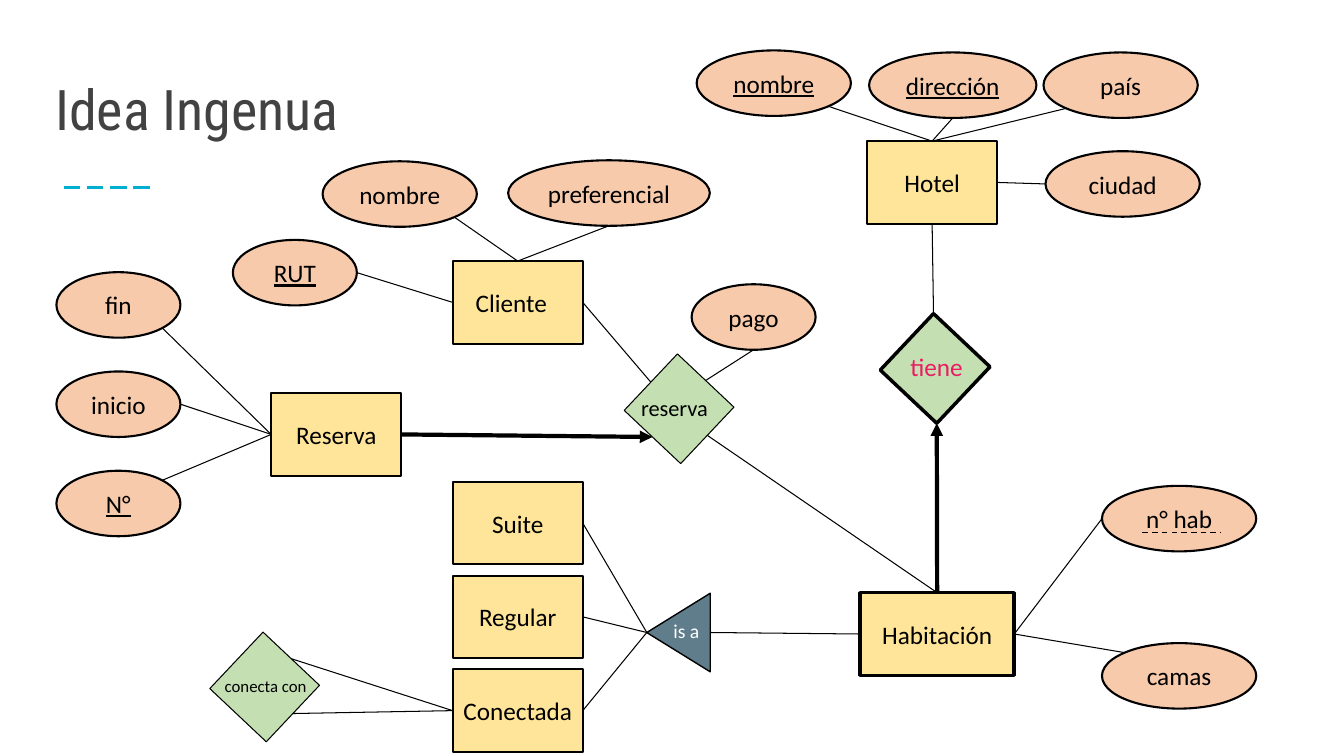
from math import cos, radians, sin
from lxml.etree import SubElement
from pptx import Presentation
from pptx.dml.color import RGBColor
from pptx.enum.dml import MSO_LINE
from pptx.enum.shapes import MSO_CONNECTOR as CONN, MSO_SHAPE as SHAPE
from pptx.enum.text import MSO_ANCHOR as ANCHOR, PP_ALIGN as ALIGN
from pptx.oxml.ns import qn
from pptx.util import Inches, Pt

BLACK = RGBColor(0x00, 0x00, 0x00)
WHITE = RGBColor(0xFF, 0xFF, 0xFF)
GREY = RGBColor(0x42, 0x42, 0x42)
CYAN = RGBColor(0x01, 0xAF, 0xD1)
PINK = RGBColor(0xE9, 0x1D, 0x63)
PEACH = RGBColor(0xF7, 0xCA, 0xAC)
YELLOW = RGBColor(0xFE, 0xE5, 0x99)
GREEN = RGBColor(0xC4, 0xE0, 0xB2)
SLATE = RGBColor(0x60, 0x7D, 0x8B)

prs = Presentation()
prs.slide_width, prs.slide_height = Inches(13.33), Inches(7.5)
COL, ROW = prs.slide_width / 133.3, prs.slide_height / 75
s = prs.slides.add_slide(prs.slide_layouts[6])


def add_text(sp, text, size, color, font="Calibri", underline=False):
    tf = sp.text_frame
    tf.word_wrap = False
    p = tf.paragraphs[0]
    r = p.add_run()
    r.text = text
    r.font.size, r.font.name = Pt(size), font
    r.font.color.rgb = color
    if underline:
        r.font.underline = True
    return tf, p


def add_line(x1, y1, x2, y2, width, color=BLACK, dash=None):
    c = s.shapes.add_connector(CONN.STRAIGHT, round(x1), round(y1), round(x2), round(y2))
    c.line.width = Pt(width)
    c.line.color.rgb = color
    if dash:
        c.line.dash_style = dash
    SubElement(c._element.spPr, qn("a:effectLst"))
    return c


add_line(6.3 * COL, 18.6 * ROW, 15.2 * COL, 18.6 * ROW, 1.5, CYAN, MSO_LINE.LONG_DASH)

EW, EH = 12.9, 8.2
AH, SHORT, LONG = 6.5, 12.3, 15.3
SIDE = 7.7
TILT = 313.3

entities = [
    ("Cliente", "", 44.9, 25.9, EW, 1.5),
    ("Reserva", "Reserva", 26.9, 39, EW, 1.5),
    ("Hotel", "Hotel", 86, 14, EW, 1.5),
    ("Habitación", "Habitación", 85.3, 58.8, LONG, 2.5),
]
for i, name in enumerate(["Suite", "Regular", "Conectada"]):
    entities.append((name, name, 44.9, 47.8 + 9.3 * i, EW, 1.5))

attributes = [
    ("RUT", "RUT", 23.1, 23.8, SHORT, True),
    ("nombre cliente", "nombre", 32, 16, LONG, False),
    ("preferencial", "preferencial", 50.4, 15.9, 20, False),
    ("nombre hotel", "nombre", 69.1, 5, LONG, True),
    ("dirección", "dirección", 86.2, 5.2, 16.6, True),
    ("país", "país", 103.5, 5.2, LONG, False),
    ("ciudad", "ciudad", 103.7, 15, LONG, False),
    ("pago", "pago", 68.6, 28.2, SHORT, False),
    ("n° hab", "n° hab", 109.3, 48.2, LONG, False),
    ("camas", "camas", 109.3, 63.8, LONG, False),
]
for i, (name, key) in enumerate([("fin", False), ("inicio", False), ("N°", True)]):
    attributes.append((name, name, 5.6, 27 + 9.85 * i, SHORT, key))

nodes = [(k, t, SHAPE.RECTANGLE, x, y, w, EH, 0, YELLOW, lw, False)
         for k, t, x, y, w, lw in entities]
nodes += [(k, t, SHAPE.OVAL, x, y, w, AH, 0, PEACH, 1.5, u)
          for k, t, x, y, w, u in attributes]
nodes += [(k, "", SHAPE.RECTANGLE, x, y, SIDE, SIDE, TILT, GREEN, lw, False)
          for k, x, y, lw in [("tiene", 88.9, 32.7, 2.5),
                              ("reserva", 63.5, 36.7, 0.75),
                              ("conecta con", 22.4, 64.3, 0.75)]]
nodes.append(("is a", "", SHAPE.ISOSCELES_TRIANGLE, 63.4, 59.6, 7.8, 6.3, 270, SLATE, 1, False))

shapes = {}
for key, text, kind, x, y, w, h, rot, fill, lw, underline in nodes:
    sp = s.shapes.add_shape(kind, round(x * COL), round(y * ROW), round(w * COL), round(h * ROW))
    sp.shadow.inherit = False
    sp.rotation = rot
    sp.fill.solid()
    sp.fill.fore_color.rgb = fill
    sp.line.color.rgb = BLACK
    sp.line.width = Pt(lw)
    if text:
        tf, p = add_text(sp, text, 18, BLACK, underline=underline)
        tf.vertical_anchor = ANCHOR.MIDDLE
        p.alignment = ALIGN.CENTER
    shapes[key] = sp

labels = [
    ("Idea Ingenua", 4.5, 5.4, 124.2, 10.7, 40, GREY, "Roboto Condensed", ANCHOR.MIDDLE),
    ("Cliente", 46.2, 28, 9.2, 4, 18, BLACK, "Calibri", ANCHOR.TOP),
    ("is a", 65.8, 60.9, 4.6, 3.4, 14, WHITE, "Calibri", ANCHOR.TOP),
    ("tiene", 89.3, 34.4, 7.3, 4, 18, PINK, "Calibri", ANCHOR.TOP),
    ("reserva", 62.6, 38.6, 8.8, 3.7, 16, BLACK, "Calibri", ANCHOR.TOP),
    ("conecta con", 21.3, 66.5, 10.3, 3, 12, BLACK, "Calibri", ANCHOR.TOP),
]
for text, x, y, w, h, size, color, font, anchor in labels:
    sp = s.shapes.add_textbox(round(x * COL), round(y * ROW), round(w * COL), round(h * ROW))
    tf, p = add_text(sp, text, size, color, font)
    tf.word_wrap = text == "Idea Ingenua"
    tf.vertical_anchor = anchor
    p.alignment = ALIGN.LEFT

add_line(113.3 * COL, 52.8 * ROW, 121.1 * COL, 52.8 * ROW, 1, dash=MSO_LINE.DASH)

K = 0.71
TOP, LEFT, BOTTOM, RIGHT = (0, -1), (-1, 0), (0, 1), (1, 0)
SITES = [TOP, LEFT, BOTTOM, RIGHT]
UP_LEFT, UP_RIGHT, LOW_LEFT, LOW_RIGHT = (-K, -K), (K, -K), (-K, K), (K, K)

links = [
    ("RUT", RIGHT, "Cliente", LEFT, 0.75),
    ("nombre cliente", LOW_RIGHT, "Cliente", TOP, 0.75),
    ("preferencial", BOTTOM, "Cliente", TOP, 0.75),
    ("is a", BOTTOM, "Habitación", LEFT, 0.75),
    ("Suite", RIGHT, "is a", TOP, 0.75),
    ("Regular", RIGHT, "is a", TOP, 0.75),
    ("Conectada", RIGHT, "is a", TOP, 0.75),
    ("nombre hotel", LOW_RIGHT, "Hotel", TOP, 0.75),
    ("dirección", BOTTOM, "Hotel", TOP, 0.75),
    ("país", LOW_LEFT, "Hotel", TOP, 0.75),
    ("ciudad", LEFT, "Hotel", RIGHT, 0.75),
    ("tiene", (1, -1), "Hotel", BOTTOM, 0.75),
    ("pago", BOTTOM, "reserva", RIGHT, 0.75),
    ("reserva", TOP, "Cliente", RIGHT, 0.75),
    ("n° hab", LEFT, "Habitación", RIGHT, 0.75),
    ("camas", UP_LEFT, "Habitación", RIGHT, 0.75),
    ("Habitación", TOP, "reserva", BOTTOM, 0.75),
    ("Reserva", LEFT, "fin", LOW_RIGHT, 0.75),
    ("Reserva", LEFT, "inicio", RIGHT, 0.75),
    ("Reserva", LEFT, "N°", UP_RIGHT, 0.75),
    ("Conectada", LEFT, "conecta con", BOTTOM, 0.75),
    ("Conectada", LEFT, "conecta con", RIGHT, 0.75),
    ("Habitación", TOP, "tiene", (-1, 1), 3),
    ("Reserva", RIGHT, "reserva", LEFT, 3),
]
entity_names = [e[0] for e in entities]
for start, start_site, end, end_site, width in links:
    pts = []
    for key, (dx, dy) in [(start, start_site), (end, end_site)]:
        sp = shapes[key]
        a = radians(sp.rotation)
        hx, hy = dx * sp.width / 2, dy * sp.height / 2
        pts += [sp.left + sp.width / 2 + hx * cos(a) - hy * sin(a),
                sp.top + sp.height / 2 + hx * sin(a) + hy * cos(a)]
    c = add_line(*pts, width)
    if start in entity_names:
        c.begin_connect(shapes[start], SITES.index(start_site))
    if end in entity_names:
        c.end_connect(shapes[end], SITES.index(end_site))
    if width == 3:
        SubElement(c.line._get_or_add_ln(), qn("a:tailEnd"), type="triangle")

prs.save("out.pptx")
